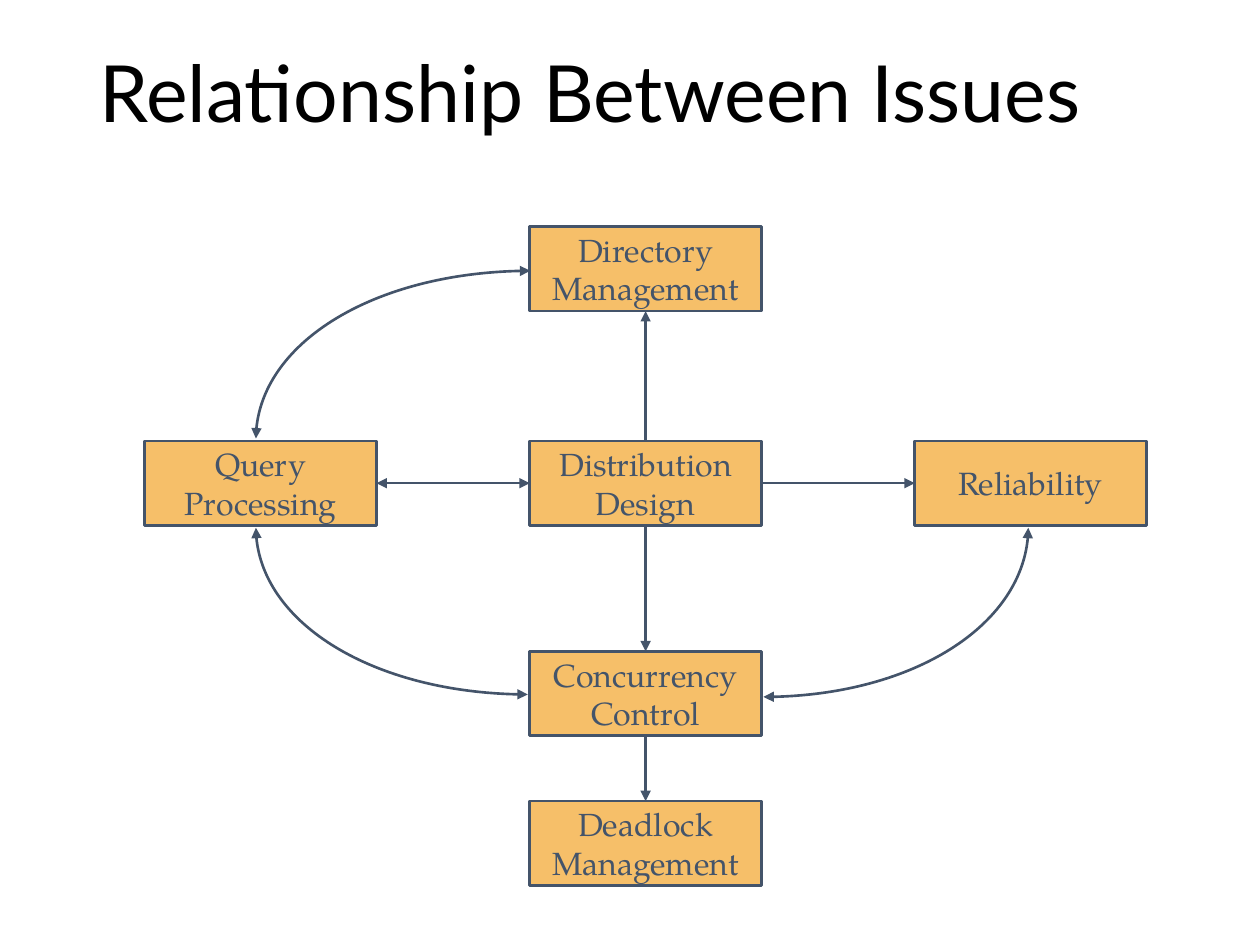
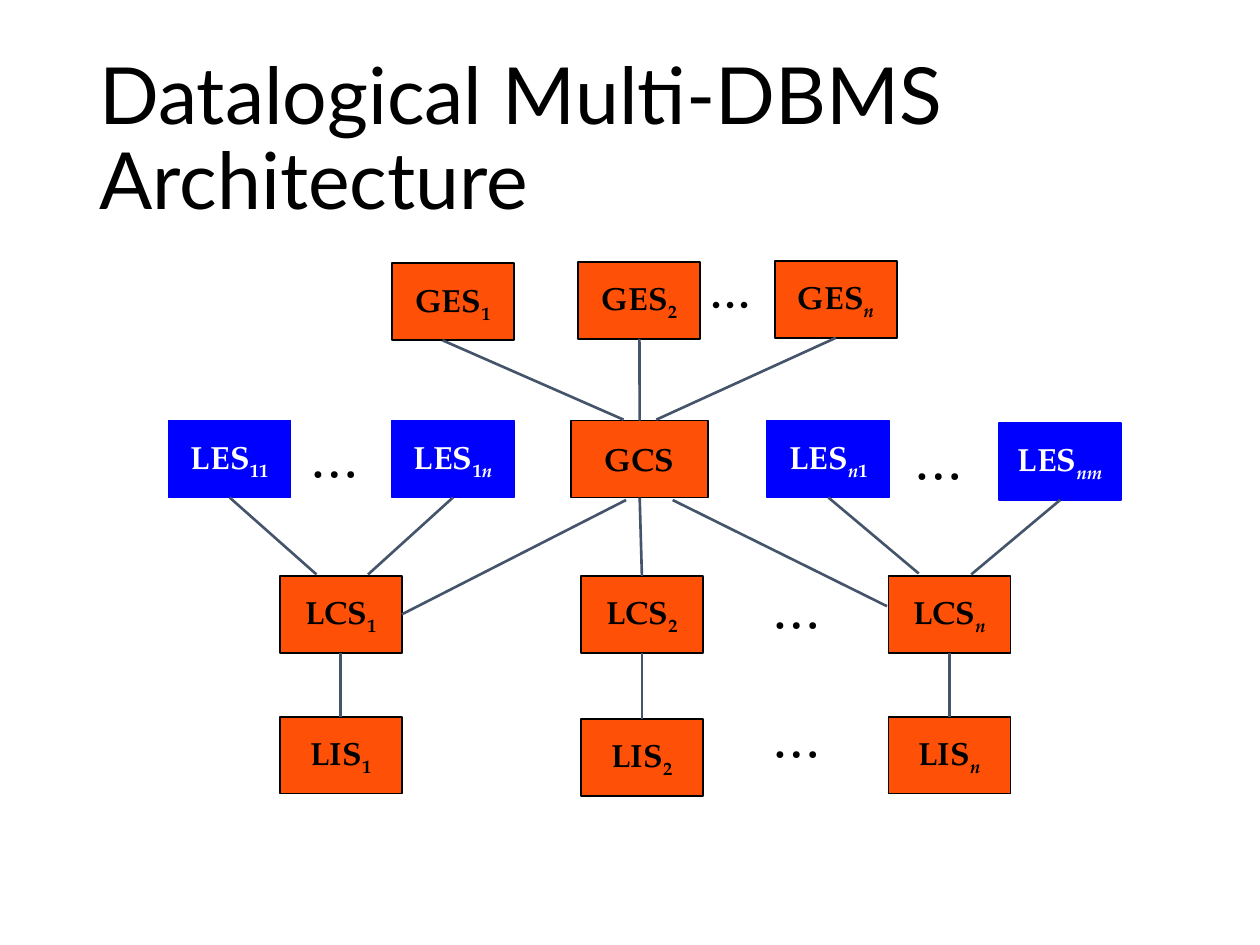
from dataclasses import dataclass
from itertools import groupby
from typing import NamedTuple

from lxml.etree import SubElement
from pptx import Presentation
from pptx.dml.color import RGBColor
from pptx.enum.shapes import MSO_CONNECTOR, MSO_SHAPE
from pptx.enum.text import MSO_ANCHOR as Anchor, MSO_AUTO_SIZE as AutoSize, PP_ALIGN as Align
from pptx.oxml.ns import qn
from pptx.util import Cm, Pt

TOP, LEFT, BOTTOM, RIGHT = range(4)
TITLE_ONLY = 5
ARC = 0.55  # control point distance of a quarter ellipse


@dataclass(frozen=True)
class Theme:
    title_font: str = "Lato"
    text_font: str = "TeX Gyre Pagella"
    title_size: float = 45
    label_size: float = 18.3
    dots_size: float = 32.3
    rule_width: float = 1.5
    border_width: float = 1
    black: str = "000000"
    white: str = "FFFFFF"
    slate: str = "44546A"
    amber: str = "F6BF69"
    orange: str = "FF5008"
    blue: str = "0000FF"


class Joint(NamedTuple):
    box: object
    side: int


class Pages:
    def __init__(self, deck, theme):
        self.deck, self.theme, self.page = deck, theme, None

    def add_page(self, title, width, height, **frame_format):
        self.page = self.deck.slides.add_slide(self.deck.slide_layouts[TITLE_ONLY])
        box = self.page.shapes.title
        place = {"left": 1.75, "top": 1.02, "width": width, "height": height}
        for name, value in place.items():
            setattr(box, name, Cm(value))
        line_spacing = frame_format.pop("line_spacing")
        self.format_frame(box.text_frame, auto_size=AutoSize.NONE, **frame_format)
        para = box.text_frame.paragraphs[0]
        para.alignment, para.line_spacing = Align.LEFT, line_spacing
        self.add_span(para, title, self.theme.black, name=self.theme.title_font,
                      size=Pt(self.theme.title_size))

    def format_frame(self, frame, **values):
        for name, value in values.items():
            setattr(frame, name, value)

    def add_span(self, para, text, colour, **font_format):
        span = para.add_run()
        span.text = text
        values = {"name": self.theme.text_font, "size": Pt(self.theme.label_size)}
        for name, value in (values | font_format).items():
            setattr(span.font, name, value)
        span.font.color.rgb = RGBColor.from_string(colour)
        return span

    def add_label(self, para, label, colour, bold):
        """Write the part after "_" as a subscript, with its letters in italics."""
        base, _, index = label.partition("_")
        self.add_span(para, base, colour, bold=bold)
        for is_letter, characters in groupby(index, str.isalpha):
            span = self.add_span(para, "".join(characters), colour, bold=bold, italic=is_letter)
            span.font._element.set("baseline", "-25000")

    def add_box(self, label, left, top, width, height, fill, border, border_width, ink, bold=False):
        box = self.page.shapes.add_shape(MSO_SHAPE.RECTANGLE, Cm(left), Cm(top), Cm(width), Cm(height))
        box.shadow.inherit = False
        box.fill.solid()
        box.fill.fore_color.rgb = RGBColor.from_string(fill)
        self.draw_line(box, border, border_width)
        frame = box.text_frame
        self.format_frame(frame, word_wrap=False, vertical_anchor=Anchor.MIDDLE)
        for number, line in enumerate(label.split("\n")):
            para = frame.add_paragraph() if number else frame.paragraphs[0]
            para.alignment = Align.CENTER
            self.add_label(para, line, ink, bold)
        return box

    def add_dots(self, text, left, top):
        box = self.page.shapes.add_textbox(Cm(left), Cm(top), Cm(1.65), Cm(1.63))
        box.text_frame.word_wrap = False
        self.add_span(box.text_frame.paragraphs[0], text, self.theme.black, size=Pt(self.theme.dots_size))

    def draw_line(self, shape, colour, width, heads=()):
        shape.line.color.rgb = RGBColor.from_string(colour)
        shape.line.width = Pt(width)
        for head in heads:
            SubElement(shape.element.spPr.find(qn("a:ln")), qn(f"a:{head}"), type="triangle")

    def connect(self, start, end, heads=()):
        """Draw a straight line; each end is a Joint or an (x, y) point."""
        points = [(0, 0) if isinstance(stop, Joint) else stop for stop in (start, end)]
        line = self.page.shapes.add_connector(
            MSO_CONNECTOR.STRAIGHT, *(Cm(value) for point in points for value in point))
        for stop, join in ((start, line.begin_connect), (end, line.end_connect)):
            if isinstance(stop, Joint):
                join(stop.box, stop.side)
        self.draw_line(line, self.theme.slate, self.theme.rule_width, heads)
        SubElement(line.element.spPr, qn("a:effectLst"))

    def add_arc(self, start, end):
        """Draw a two-headed quarter ellipse that leaves upright and arrives level."""
        (x1, y1), (x2, y2) = start, end
        points = [(x1, y1 + ARC * (y2 - y1)), (x2 - ARC * (x2 - x1), y2), end]
        builder = self.page.shapes.build_freeform(Cm(x1), Cm(y1))
        builder.add_line_segments([(Cm(x), Cm(y)) for x, y in points], close=False)
        arc = builder.convert_to_shape()
        segments = list(arc.element.iter(qn("a:lnTo")))
        curve = SubElement(segments[0].getparent(), qn("a:cubicBezTo"))
        for segment in segments:
            curve.append(segment[0])
            segment.getparent().remove(segment)
        arc.shadow.inherit = False
        arc.fill.background()
        self.draw_line(arc, self.theme.slate, self.theme.rule_width, ("headEnd", "tailEnd"))


def add_issues(pages):
    theme = pages.theme
    pages.add_page("Relationship Between Issues", 20.47, 1.93, line_spacing=0.87,
                   vertical_anchor=Anchor.TOP, word_wrap=False)
    left, middle, right = (2.92 + 7.76 * column for column in range(3))
    places = {
        "Directory\nManagement": (middle, 4.57),
        "Query\nProcessing": (left, 8.89),
        "Distribution\nDesign": (middle, 8.89),
        "Reliability": (right, 8.89),
        "Concurrency\nControl": (middle, 13.13),
        "Deadlock\nManagement": (middle, 16.15),
    }
    directory, query, design, reliability, concurrency, deadlock = (
        pages.add_box(label, *place, 4.67, 1.7, theme.amber, theme.slate, theme.rule_width, theme.slate)
        for label, place in places.items())

    one_way, two_way = ("tailEnd",), ("headEnd", "tailEnd")
    for start, start_side, end, end_side, heads in (
        (design, TOP, directory, BOTTOM, one_way),
        (design, BOTTOM, concurrency, TOP, one_way),
        (concurrency, BOTTOM, deadlock, TOP, one_way),
        (design, RIGHT, reliability, LEFT, one_way),
        (query, RIGHT, design, LEFT, two_way),
    ):
        pages.connect(Joint(start, start_side), Joint(end, end_side), heads)

    pages.add_arc((5.16, 8.84), (10.69, 5.46))
    pages.add_arc((5.16, 10.64), (10.64, 14))
    pages.add_arc((20.73, 10.64), (15.39, 14.05))


def add_architecture(pages):
    theme = pages.theme
    pages.add_page("Datalogical Multi-DBMS Architecture", 21.9, 3.68, line_spacing=0.9,
                   vertical_anchor=Anchor.MIDDLE, word_wrap=True)
    global_colours = {"fill": theme.orange, "border": theme.black, "ink": theme.black}
    local_colours = {"fill": theme.blue, "border": theme.blue, "ink": theme.white}
    places = {
        "GES_1": (7.9, 5.31), "GES_2": (11.66, 5.28), "GES_n": (15.62, 5.26),
        "LES_11": (3.4, 8.48), "LES_1n": (7.9, 8.48), "GCS": (11.51, 8.48),
        "LES_n1": (15.47, 8.48), "LES_nm": (20.14, 8.53),
        "LCS_1": (5.64, 11.61), "LCS_2": (11.71, 11.61), "LCS_n": (17.91, 11.61),
        "LIS_1": (5.64, 14.45), "LIS_2": (11.71, 14.5), "LIS_n": (17.91, 14.45),
    }
    boxes = {}
    for label, place in places.items():
        colours = local_colours if label.startswith("LES") else global_colours
        width = 2.77 if label == "GCS" else 2.46
        boxes[label] = pages.add_box(label, *place, width, 1.55, **colours,
                                     border_width=theme.border_width, bold=True)

    for upper, lower in (("GES_2", "GCS"), ("GCS", "LCS_2"), ("LCS_1", "LIS_1"),
                         ("LCS_2", "LIS_2"), ("LCS_n", "LIS_n")):
        pages.connect(Joint(boxes[upper], BOTTOM), Joint(boxes[lower], TOP))

    for upper, end in (("GES_n", (13.23, 8.46)), ("LES_11", (6.38, 11.58)), ("LES_1n", (7.42, 11.58)),
                       ("LES_n1", (18.52, 11.56)), ("LES_nm", (19.58, 11.58))):
        pages.connect(Joint(boxes[upper], BOTTOM), end)

    pages.connect((8.92, 6.86), (12.57, 8.46))
    pages.connect((12.62, 10.08), Joint(boxes["LCS_1"], RIGHT))
    pages.connect((13.56, 10.08), (17.88, 12.22))

    pages.add_dots("...", 14.05, 4.95)
    for place in ((6.02, 8.38), (18.19, 8.43), (15.32, 11.43), (15.32, 14.02)):
        pages.add_dots("…", *place)


def main():
    deck = Presentation()
    deck.slide_width, deck.slide_height = Cm(25.4), Cm(19.05)
    pages = Pages(deck, Theme())
    add_issues(pages)
    add_architecture(pages)
    deck.save("out.pptx")


if __name__ == "__main__":
    main()
